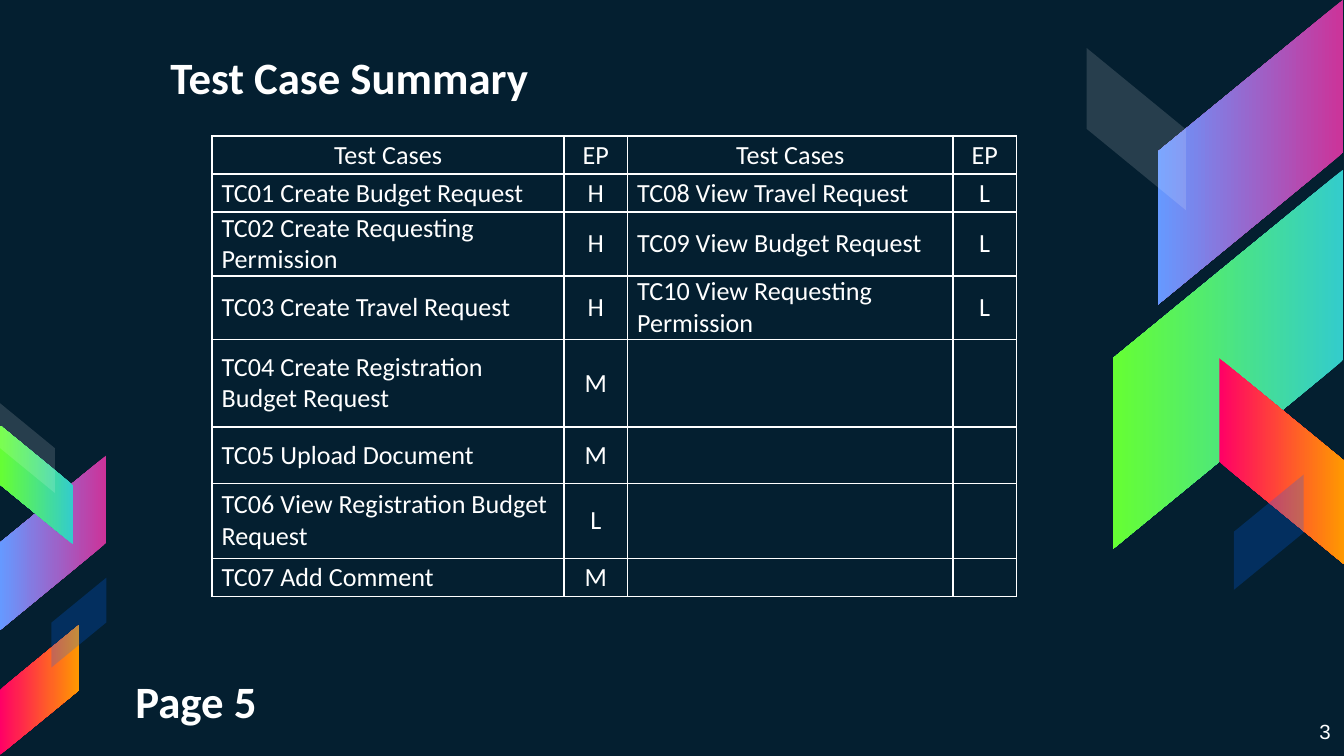
from dataclasses import dataclass

from lxml.etree import SubElement
from pptx import Presentation
from pptx.dml.color import RGBColor
from pptx.enum.shapes import MSO_SHAPE
from pptx.enum.text import MSO_ANCHOR, PP_ALIGN
from pptx.oxml.ns import qn
from pptx.slide import Slide
from pptx.util import Cm, Pt

NAVY = RGBColor(0x04, 0x1F, 0x30)
WHITE = RGBColor(0xFF, 0xFF, 0xFF)
BLUE = RGBColor(0x00, 0x66, 0xFF)
PINK = RGBColor(0xCC, 0x33, 0x99)
SKY = RGBColor(0x66, 0x99, 0xFF)
TEAL = RGBColor(0x33, 0xCC, 0xCC)
LIME = RGBColor(0x66, 0xFF, 0x33)
RED = RGBColor(0xFF, 0x00, 0x66)
AMBER = RGBColor(0xFF, 0x99, 0x00)


@dataclass
class Band:
    left: float
    top: float
    width: float
    height: float
    turn: int
    flip: bool
    tones: tuple  # two gradient colours, or one see-through colour
    alpha: int = 100


@dataclass
class Label:
    left: float
    top: float
    width: float
    height: float
    text: str
    anchor: MSO_ANCHOR
    align: PP_ALIGN
    font: dict


HEAD = {"name": "Calibri", "size": Pt(24), "bold": True}
SMALL = {"name": "Arial", "size": Pt(11)}
BODY = {"name": "Calibri", "size": Pt(14)}

BANDS = [
    # Right side
    Band(20.75, 1.12, 5.77, 3.51, 90, True, (PINK, SKY)),
    Band(19.63, 4.62, 7.16, 4.34, 90, True, (TEAL, LIME)),
    Band(22.28, 7.54, 3.89, 2.36, 270, False, (RED, AMBER)),
    Band(19.94, 1.5, 3.07, 1.88, 270, False, (WHITE,), 14),
    Band(22.89, 9.4, 2.18, 1.32, 270, True, (BLUE,), 23),
    # Left side
    Band(-0.64, 9.25, 3.3, 2.01, 90, True, (PINK, SKY)),
    Band(-0.43, 8.48, 2.24, 1.37, 90, False, (TEAL, LIME)),
    Band(-0.48, 12.29, 2.46, 1.5, 270, True, (RED, AMBER)),
    Band(-0.33, 7.95, 1.7, 1.04, 270, False, (WHITE,), 14),
    Band(0.64, 11.25, 1.7, 1.04, 270, True, (BLUE,), 23),
]

LABELS = [
    Label(2.97, 0.43, 18.85, 1.78, "Test Case Summary",
          MSO_ANCHOR.BOTTOM, PP_ALIGN.LEFT, HEAD),
    Label(23.77, 13.36, 1.63, 0.91, "3",
          MSO_ANCHOR.TOP, PP_ALIGN.RIGHT, SMALL),
    Label(2.31, 12.22, 3.61, 1.78, "Page 5",
          MSO_ANCHOR.BOTTOM, PP_ALIGN.LEFT, HEAD),
]

COLS = [6.65, 1.2, 6.15, 1.2]
ROWS = [0.72, 0.72, 1.2, 1.2, 1.65, 1.07, 1.42, 0.72]
CASES = [
    ("Test Cases", "EP", "Test Cases", "EP"),
    ("TC01 Create Budget Request", "H", "TC08 View Travel Request", "L"),
    ("TC02 Create Requesting Permission", "H",
     "TC09 View Budget Request", "L"),
    ("TC03 Create Travel Request", "H",
     "TC10 View Requesting Permission", "L"),
    ("TC04 Create Registration Budget Request", "M", "", ""),
    ("TC05 Upload Document", "M", "", ""),
    ("TC06 View Registration Budget Request", "L", "", ""),
    ("TC07 Add Comment", "M", "", ""),
]


def style(para, text: str, align: PP_ALIGN, font: dict) -> None:
    para.alignment = align
    run = para.add_run()
    run.text = text
    run.font.color.rgb = WHITE
    for key, value in font.items():
        setattr(run.font, key, value)


def pad(item, side: float, edge: float) -> None:
    for key, gap in {"left": side, "right": side,
                     "top": edge, "bottom": edge}.items():
        setattr(item, f"margin_{key}", Cm(gap))


def draw_band(slide: Slide, band: Band) -> None:
    shape = slide.shapes.add_shape(
        MSO_SHAPE.PARALLELOGRAM, Cm(band.left), Cm(band.top),
        Cm(band.width), Cm(band.height))
    shape.adjustments[0] = 0.82
    shape.rotation = band.turn
    shape.shadow.inherit = False
    shape.line.fill.background()
    if band.flip:
        shape.element.spPr.xfrm.set("flipH", "1")
    if len(band.tones) == 2:
        shape.fill.gradient()
        shape.fill.gradient_angle = 270  # from top to bottom
        for stop, tone in zip(shape.fill.gradient_stops, band.tones):
            stop.color.rgb = tone
    else:
        shape.fill.solid()
        shape.fill.fore_color.rgb = band.tones[0]
        tone = shape.element.spPr.find(".//" + qn("a:srgbClr"))
        SubElement(tone, qn("a:alpha"), val=str(band.alpha * 1000))


def draw_label(slide: Slide, label: Label) -> None:
    box = slide.shapes.add_textbox(
        Cm(label.left), Cm(label.top), Cm(label.width), Cm(label.height))
    frame = box.text_frame
    frame.word_wrap = True
    frame.vertical_anchor = label.anchor
    pad(frame, 0.25, 0.25)
    style(frame.paragraphs[0], label.text, label.align, label.font)


def add_edges(cell) -> None:
    props = cell._tc.get_or_add_tcPr()
    for side in ("lnL", "lnR", "lnT", "lnB"):
        edge = SubElement(props, qn(f"a:{side}"), w=str(Pt(1)))
        fill = SubElement(edge, qn("a:solidFill"))
        SubElement(fill, qn("a:srgbClr"), val=str(WHITE))


def draw_table(slide: Slide, left: float, top: float) -> None:
    table = slide.shapes.add_table(
        len(ROWS), len(COLS), Cm(left), Cm(top),
        Cm(sum(COLS)), Cm(sum(ROWS))).table
    table.first_row = table.horz_banding = False
    for col, width in zip(table.columns, COLS):
        col.width = Cm(width)
    for row, height in zip(table.rows, ROWS):
        row.height = Cm(height)
    for r, case in enumerate(CASES):
        for c, text in enumerate(case):
            cell = table.cell(r, c)
            add_edges(cell)
            cell.fill.background()
            cell.vertical_anchor = MSO_ANCHOR.MIDDLE
            pad(cell, 0.18, 0)
            para = cell.text_frame.paragraphs[0]
            if text:
                mid = r == 0 or c % 2 == 1
                style(para, text,
                      PP_ALIGN.CENTER if mid else PP_ALIGN.LEFT, BODY)
            else:  # keeps an empty cell from stretching its row
                SubElement(para._p, qn("a:endParaRPr"), sz="1400")


def main() -> None:
    deck = Presentation()
    deck.slide_width, deck.slide_height = Cm(25.4), Cm(14.29)
    slide = deck.slides.add_slide(deck.slide_layouts[6])
    slide.background.fill.solid()
    slide.background.fill.fore_color.rgb = NAVY

    # Side decoration
    for band in BANDS:
        draw_band(slide, band)

    # Test cases and labels
    draw_table(slide, 4.01, 2.57)
    for label in LABELS:
        draw_label(slide, label)

    deck.save("out.pptx")


if __name__ == "__main__":
    main()
